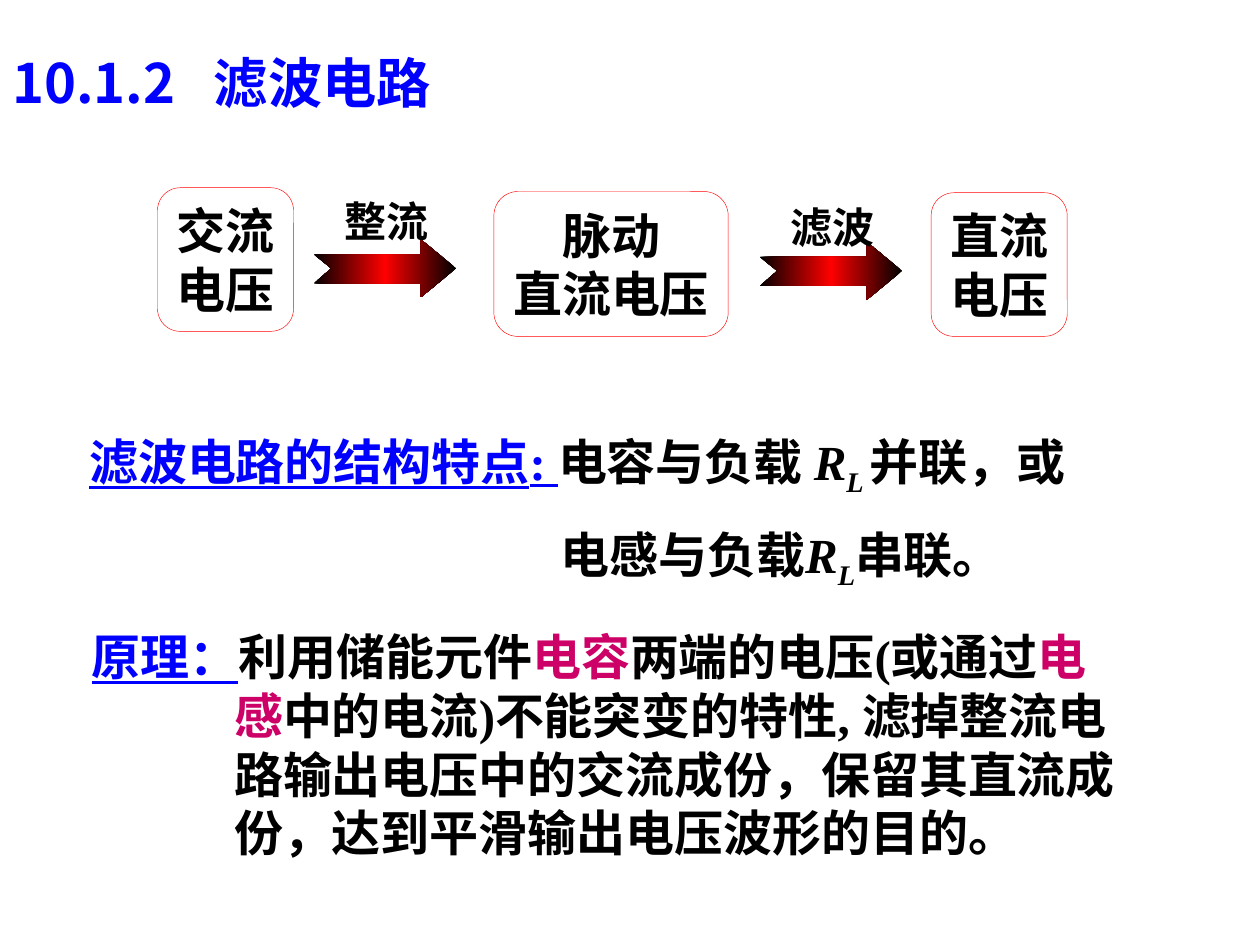
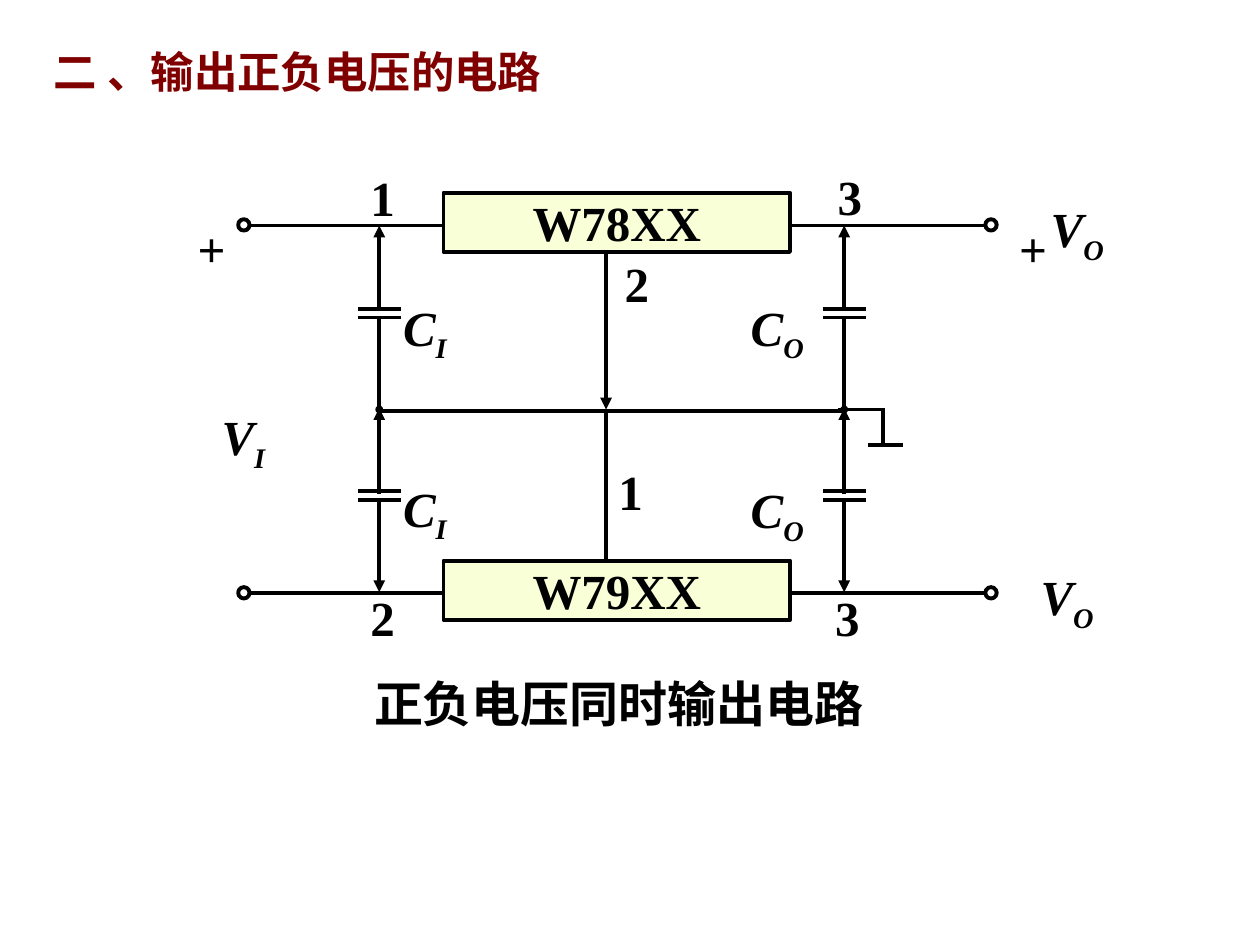
import pptx
import pptx.util
import pptx.dml.color
import pptx.enum.shapes
import pptx.enum.text
import pptx.oxml.ns
import lxml.etree

Inches, Pt = pptx.util.Inches, pptx.util.Pt
RGB = pptx.dml.color.RGBColor
SHAPE = pptx.enum.shapes.MSO_SHAPE
ALIGN = pptx.enum.text.PP_ALIGN
ANCHOR = pptx.enum.text.MSO_ANCHOR
qn = pptx.oxml.ns.qn

BLACK, BLUE, RED = RGB(0, 0, 0), RGB(0, 0, 255), RGB(255, 0, 0)
MAROON, MAGENTA, CREAM = RGB(128, 0, 0), RGB(204, 0, 102), RGB(0xF9, 0xFF, 0xD7)
HAN, SANS, SERIF = "Noto Sans CJK SC", "Arial", "Times New Roman"

# Text styles
PLAIN = {"name": SANS, "size": 28, "color": BLACK, "bold": True}
HEAD = {**PLAIN, "color": BLUE, "underline": True}
KEY = {**PLAIN, "color": MAGENTA}
LATIN = {**PLAIN, "name": SERIF}
SYMBOL = {**LATIN, "italic": True}
SUB = {**SYMBOL, "baseline": -25}
BLOCK = {**PLAIN, "name": HAN}
STEP = {**BLOCK, "size": 24}

# Slide 1 content
SECTION = ("10.1.2\t滤波电路", {**BLOCK, "size": 31, "color": BLUE})
STAGES = [
    (["交流", "电压"], (1.25, 1.49, 1.08, 1.14)),
    (["脉动", "直流电压"], (3.92, 1.52, 1.86, 1.15)),
    (["直流", "电压"], (7.39, 1.53, 1.08, 1.14)),
]
STEPS = [("整流", 2.49, 1.9, 1.5), ("滤波", 6.03, 1.92, 1.55)]  # arrow x, y, label y
ARROW = [(0, 0.12), (0.85, 0.12), (0.85, 0), (1.13, 0.23), (0.85, 0.46),
         (0.85, 0.35), (0, 0.35), (0.14, 0.23)]
ARROW_STOPS = [(0, BLACK), (50, RED), (100, BLACK)]
STRUCTURE = [
    ("滤波电路的结构特点", HEAD), (": ", {**HEAD, "name": SERIF}),
    ("电容与负载 ", PLAIN), ("R", SYMBOL), ("L ", SUB),
    ("并联，或电感与负载", PLAIN), ("R", SYMBOL), ("L", SUB), ("串联。", PLAIN),
]
PRINCIPLE = [
    ("原理：", HEAD), ("利用储能元件", PLAIN), ("电容", KEY), ("两端的电压", PLAIN),
    ("(", LATIN), ("或通过", PLAIN), ("电感", KEY), ("中的电流", PLAIN), (")", LATIN),
    ("不能突变的特性", PLAIN), (", ", LATIN),
    ("滤掉整流电路输出电压中的交流成份，保留其直流成份，达到平滑输出电压波形的目的。", PLAIN),
]

# Slide 2 content
TOPIC = ("二 、输出正负电压的电路", {**PLAIN, "size": 24.8, "color": MAROON})
CAPTION = "正负电压同时输出电路"
TOP, MIDDLE, BOTTOM = 1.79, 3.26, 4.71
LEFT, CENTRE, RIGHT = 3.01, 4.81, 6.7
CHIP_LEFT, CHIP_RIGHT = 3.52, 6.27
REGULATORS = [("W78XX", TOP, 1.53), ("W79XX", BOTTOM, 4.45)]
PINS = [("1", 2.84, 1.28), ("3", 6.55, 1.27), ("2", 4.86, 1.96),
        ("1", 4.81, 3.61), ("2", 2.84, 4.61), ("3", 6.53, 4.61)]
QUANTITIES = [("C", "I", 3.1, 2.31), ("C", "I", 3.1, 3.75),
              ("C", "O", 5.86, 2.31), ("C", "O", 5.86, 3.76),
              ("V", "I", 1.66, 3.18), ("V", "O", 8.24, 1.53), ("V", "O", 8.16, 4.45)]
PLUS_SIGNS = [1.47, 7.99]
GROUND = [((6.65, 3.25), (7.02, 3.25)), ((7.01, 3.24), (7.01, 3.53)),
          ((6.89, 3.53), (7.17, 3.53))]


def add_span(para, text, style):
    span = para.add_run()
    span.text = text
    values = dict(style)
    values["size"] = Pt(values["size"])
    span.font.color.rgb = values.pop("color")
    baseline = values.pop("baseline", None)
    for key, value in values.items():
        setattr(span.font, key, value)
    props = span._r.get_or_add_rPr()
    if baseline:
        props.set("baseline", str(baseline * 1000))
    east_asian = lxml.etree.Element(qn("a:ea"), typeface=HAN)
    props.find(qn("a:latin")).addnext(east_asian)


def fill_text(shape, paras, align=ALIGN.LEFT, anchor=ANCHOR.TOP, wrap=True,
              spacing=None, hang=0, tab=None, right=0.1):
    frame = shape.text_frame
    settings = {"word_wrap": wrap, "vertical_anchor": anchor,
                "margin_left": Inches(0.1), "margin_right": Inches(right),
                "margin_top": Inches(0.05), "margin_bottom": Inches(0.05)}
    for key, value in settings.items():
        setattr(frame, key, value)
    for index, spans in enumerate(paras):
        para = frame.add_paragraph() if index else frame.paragraphs[0]
        para.alignment = align
        if spacing:
            para.line_spacing = spacing
        props = para._p.get_or_add_pPr()
        if hang:
            props.set("marL", str(Inches(hang)))
            props.set("indent", str(-Inches(hang)))
        if tab:
            stops = lxml.etree.SubElement(props, qn("a:tabLst"))
            lxml.etree.SubElement(stops, qn("a:tab"), pos=str(Inches(tab)), algn="l")
        for text, style in spans:
            add_span(para, text, style)


def add_text(page, place, spans, **layout):
    box = page.shapes.add_textbox(*map(Inches, place))
    fill_text(box, [spans], **layout)


def add_title(page, place, title, **layout):
    add_text(page, place, [title], spacing=0.8, **layout)


def add_outline(page, kind, place, color, width, fill=None):
    shape = page.shapes.add_shape(kind, *map(Inches, place))
    shape.shadow.inherit = False
    if fill is None:
        shape.fill.background()
    else:
        shape.fill.solid()
        shape.fill.fore_color.rgb = fill
    shape.line.color.rgb = color
    shape.line.width = Pt(width)
    return shape


def add_wire(page, start, end, head=None, tail=None):
    wire = page.shapes.add_connector(
        pptx.enum.shapes.MSO_CONNECTOR.STRAIGHT, *map(Inches, (*start, *end)))
    wire.line.color.rgb = BLACK
    wire.line.width = Pt(2.25)
    props = wire._element.spPr
    for tag, kind in (("a:headEnd", head), ("a:tailEnd", tail)):
        if kind:
            size = "sm" if kind == "oval" else "med"
            lxml.etree.SubElement(props.get_or_add_ln(), qn(tag),
                                  type=kind, w=size, len=size)
    lxml.etree.SubElement(props, qn("a:effectLst"))


def add_step_arrow(page, x, y):
    points = [(Inches(x + dx), Inches(y + dy)) for dx, dy in ARROW]
    builder = page.shapes.build_freeform(*points[0], scale=1.0)
    builder.add_line_segments(points[1:], close=True)
    arrow = builder.convert_to_shape()
    arrow.shadow.inherit = False
    arrow.line.fill.background()
    arrow.fill.gradient()
    arrow.fill.gradient_angle = 0
    stops = arrow._element.spPr.find(".//" + qn("a:gsLst"))
    for stop in list(stops):
        stops.remove(stop)
    for percent, color in ARROW_STOPS:
        stop = lxml.etree.SubElement(stops, qn("a:gs"), pos=str(percent * 1000))
        lxml.etree.SubElement(stop, qn("a:srgbClr"), val=str(color))


def add_capacitor(page, x, top, end_mark):
    add_wire(page, (x, top), (x, top + 0.68), head="triangle")
    add_wire(page, (x, top + 0.73), (x, top + 1.46), tail=end_mark)
    for plate in (top + 0.66, top + 0.73):
        add_wire(page, (x - 0.17, plate), (x + 0.17, plate))


def build_filter_page(page):
    add_title(page, (0, 0.37, 6.9, 0.65), SECTION, anchor=ANCHOR.MIDDLE, tab=1.6)
    add_text(page, (0.61, 3.16, 8.1, 1.59), STRUCTURE, spacing=1.4, hang=3.74)

    # Flow from alternating to direct voltage
    centred = {"align": ALIGN.CENTER, "anchor": ANCHOR.MIDDLE, "wrap": False}
    for lines, place in STAGES:
        stage = add_outline(page, SHAPE.FLOWCHART_ALTERNATE_PROCESS, place, RED, 0.25)
        fill_text(stage, [[(line, BLOCK)] for line in lines], **centred)
    for label, x, y, label_y in STEPS:
        add_step_arrow(page, x, y)
        add_text(page, (x - 0.02, label_y, 1.2, 0.5), [(label, STEP)], **centred)

    add_text(page, (0.63, 4.92, 8.38, 1.97), PRINCIPLE, anchor=ANCHOR.MIDDLE, hang=1.13)


def build_circuit_page(page):
    add_title(page, (0.33, 0.39, 6.42, 0.53), TOPIC)
    add_text(page, (2.87, 5.3, 4.08, 0.57), [(CAPTION, PLAIN)], right=0)

    # Regulators with their rails and terminals
    for name, rail, top in REGULATORS:
        add_wire(page, (CHIP_RIGHT, rail), (7.82, rail))
        add_wire(page, (CHIP_LEFT, rail), (1.98, rail))
        chip = add_outline(page, SHAPE.RECTANGLE,
                           (CHIP_LEFT, top, CHIP_RIGHT - CHIP_LEFT, 0.47),
                           BLACK, 2.25, CREAM)
        fill_text(chip, [[(name, LATIN)]], align=ALIGN.CENTER,
                  anchor=ANCHOR.MIDDLE, wrap=False)
        for x in (1.89, 7.82):
            add_outline(page, SHAPE.OVAL, (x, rail - 0.05, 0.09, 0.09), BLACK, 2.25)

    # Capacitors, common line and ground
    for x in (LEFT, RIGHT):
        add_capacitor(page, x, TOP, "oval")
        add_capacitor(page, x, 3.24, "triangle")
    add_wire(page, (LEFT, MIDDLE), (RIGHT, MIDDLE))
    add_wire(page, (CENTRE, 2), (CENTRE, 3.25), tail="triangle")
    add_wire(page, (CENTRE, 3.28), (CENTRE, 4.45))
    for start, end in GROUND:
        add_wire(page, start, end)

    # Labels
    for pin, x, y in PINS:
        add_text(page, (x, y, 0.39, 0.57), [(pin, LATIN)], right=0)
    for letter, index, x, y in QUANTITIES:
        add_text(page, (x, y, 0.69, 0.63), [(letter, SYMBOL), (index, SUB)], right=0)
    for x in PLUS_SIGNS:
        add_text(page, (x, 1.36, 0.37, 0.9), [("+", LATIN)], spacing=1.7, right=0)


def main():
    deck = pptx.Presentation()
    deck.slide_width, deck.slide_height = Inches(10), Inches(7.5)
    for build in (build_filter_page, build_circuit_page):
        build(deck.slides.add_slide(deck.slide_layouts[6]))
    deck.save("out.pptx")


if __name__ == "__main__":
    main()
